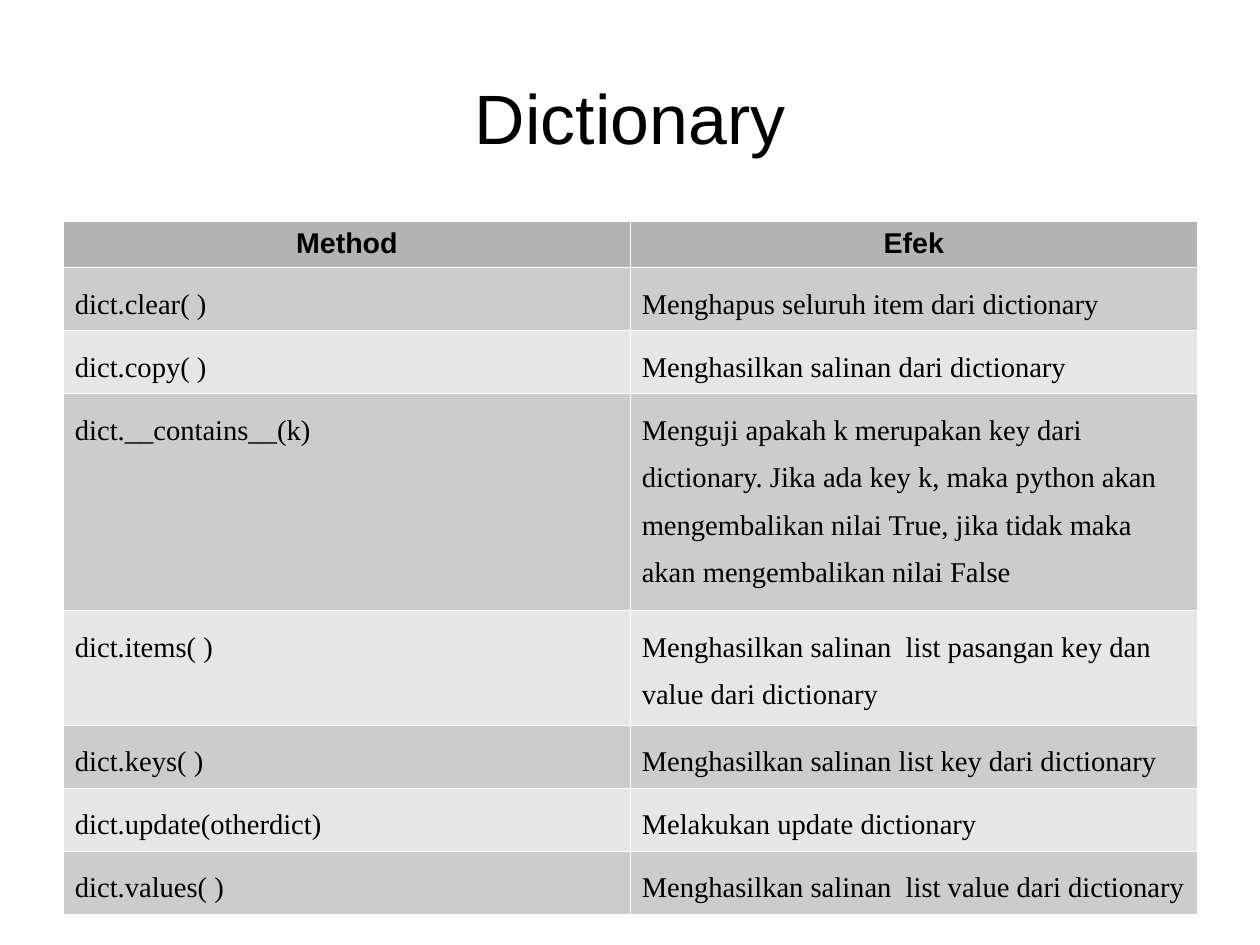
from lxml.etree import SubElement
from pptx import Presentation
from pptx.dml.color import RGBColor
from pptx.enum.text import MSO_ANCHOR, PP_ALIGN
from pptx.oxml.ns import qn
from pptx.util import Pt

TITLE = "Dictionary"
HEADINGS = ("Method", "Efek")
METHODS = [
    ("dict.clear( )", "Menghapus seluruh item dari dictionary"),
    ("dict.copy( )", "Menghasilkan salinan dari dictionary"),
    ("dict.__contains__(k)",
     "Menguji apakah k merupakan key dari dictionary. Jika ada key k, maka python akan "
     "mengembalikan nilai True, jika tidak maka akan mengembalikan nilai False"),
    ("dict.items( )", "Menghasilkan salinan  list pasangan key dan value dari dictionary"),
    ("dict.keys( )", "Menghasilkan salinan list key dari dictionary"),
    ("dict.update(otherdict)", "Melakukan update dictionary"),
    ("dict.values( )", "Menghasilkan salinan  list value dari dictionary"),
]
HEADING_HEIGHT = 28.4
SINGLE_HEIGHT = 39.7
TALL_HEIGHTS = {3: 136.7, 4: 71.8}
COLORS = {"text": "000000", "border": "FFFFFF", "heading": "B3B3B3",
          "odd": "CCCCCC", "even": "E6E6E6"}
LEFT, WIDTH = 40, 714.2


def write(frame, text, size, font, align, bold=False, spacing=None):
    frame.text = text
    paragraph = frame.paragraphs[0]
    paragraph.alignment = align
    paragraph.line_spacing = spacing
    style = paragraph.runs[0].font
    style.size, style.name, style.bold = Pt(size), font, bold
    style.color.rgb = RGBColor.from_string(COLORS["text"])


def add_borders(cell):
    properties = cell._tc.get_or_add_tcPr()
    for side in ("lnL", "lnR", "lnT", "lnB"):
        line = SubElement(properties, qn(f"a:{side}"), w=str(Pt(0.06)))
        fill = SubElement(line, qn("a:solidFill"))
        SubElement(fill, qn("a:srgbClr"), val=COLORS["border"])


def fill_cell(cell, text, row):
    add_borders(cell)
    cell.fill.solid()
    band = "heading" if row == 0 else "odd" if row % 2 else "even"
    cell.fill.fore_color.rgb = RGBColor.from_string(COLORS[band])
    if row == 0:
        write(cell.text_frame, text, 18, "Arial", PP_ALIGN.CENTER, bold=True)
    else:
        write(cell.text_frame, text, 18, "Times New Roman", PP_ALIGN.LEFT, spacing=1.5)


def main():
    deck = Presentation()
    deck.slide_width, deck.slide_height = Pt(793.7), Pt(595.3)
    slide = deck.slides.add_slide(deck.slide_layouts[6])

    heading = slide.shapes.add_textbox(Pt(LEFT), Pt(23.7), Pt(WIDTH), Pt(99.4)).text_frame
    heading.word_wrap = True
    heading.vertical_anchor = MSO_ANCHOR.MIDDLE
    heading.margin_left = heading.margin_right = heading.margin_top = heading.margin_bottom = 0
    write(heading, TITLE, 44, "Arial", PP_ALIGN.CENTER)

    rows = [HEADINGS, *METHODS]
    heights = [HEADING_HEIGHT] + [TALL_HEIGHTS.get(row, SINGLE_HEIGHT)
                                  for row in range(1, len(rows))]
    methods = slide.shapes.add_table(len(rows), len(HEADINGS), Pt(LEFT), Pt(139.5),
                                     Pt(WIDTH), Pt(sum(heights))).table
    for row, (texts, height) in enumerate(zip(rows, heights)):
        methods.rows[row].height = Pt(height)
        for column, text in enumerate(texts):
            fill_cell(methods.cell(row, column), text, row)

    deck.save("out.pptx")


if __name__ == "__main__":
    main()
